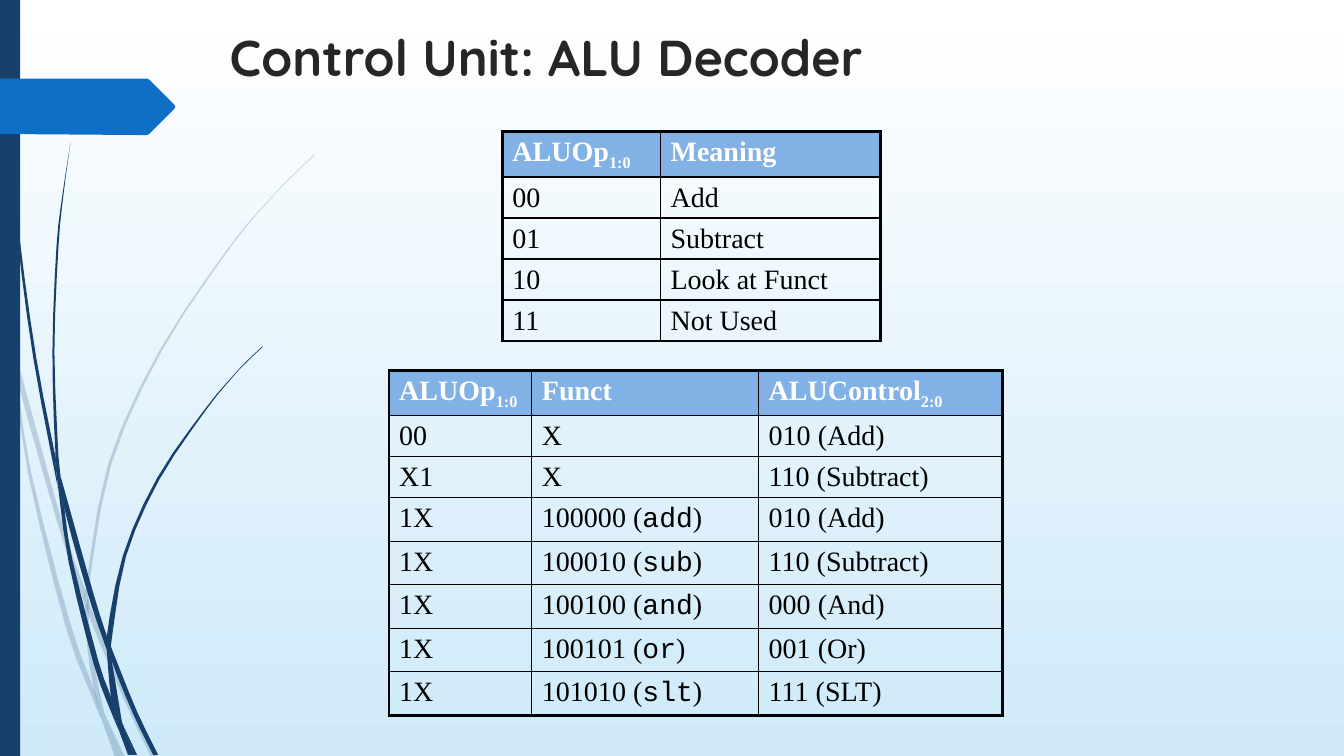
from lxml import etree
from pptx import Presentation
from pptx.dml.color import RGBColor
from pptx.enum import shapes, text
from pptx.oxml import ns
from pptx.util import Pt

NAVY = RGBColor(0x17, 0x40, 0x6D)
BLUE = RGBColor(0x0F, 0x6F, 0xC6)
HEAD = RGBColor(0x82, 0xB1, 0xE5)
DARK = RGBColor(0x26, 0x26, 0x26)
BLACK = RGBColor(0, 0, 0)
WHITE = RGBColor(255, 255, 255)
SKY = RGBColor(0xCE, 0xEA, 0xF9)
SERIF, MONO = "Times New Roman", "Courier New"
UNIT = 0.72

# Each piece of grass is a ring of smooth edges, with knots in UNIT points.
PALE = [
    [[(11, 350), (9, 322), (0, 282)], [(0, 299), (10, 344)]],
    [[(14, 345), (17, 376), (58, 522), (84, 599)],
     [(85, 586), (62, 520), (14, 345)]],
    [[(88, 596), (88, 610), (123, 694), (150, 751)],
     [(155, 751), (127, 692), (92, 607)]],
    [[(105, 711), (119, 751)], [(124, 751), (105, 711)]],
    [[(11, 350), (28, 470), (65, 621), (92, 693), (101, 714)],
     [(99, 707), (93, 683), (70, 619), (31, 469), (17, 376)]],
    [[(84, 599), (87, 646), (93, 683), (96, 692), (105, 711)],
     [(103, 706), (91, 646), (88, 610), (88, 608)]],
    [[(312, 153), (289, 175), (268, 197), (228, 244), (158, 348),
      (107, 461), (85, 584), (85, 586)],
     [(88, 596), (88, 584), (110, 462), (160, 349), (229, 245),
      (268, 198), (290, 175), (312, 154)]],
    [[(101, 714), (114, 751)], [(119, 751), (101, 714)]],
    [[(85, 586), (84, 599), (88, 608)], [(88, 610), (88, 596)]],
    [[(93, 683), (99, 707), (101, 714), (119, 751)],
     [(105, 711), (96, 692)]],
]
DEEP = [
    [[(3, 0), (4, 48), (7, 110), (17, 233), (33, 355), (56, 477), (57, 481)],
     [(55, 457), (55, 453), (36, 355), (19, 232), (8, 109), (5, 48), (4, 0)]],
    [[(60, 472), (64, 505), (88, 592), (106, 645)],
     [(106, 633), (106, 631), (93, 590), (60, 472)]],
    [[(110, 641), (111, 656), (132, 708), (152, 749)],
     [(157, 749), (136, 706), (113, 649)]],
    [[(57, 477), (68, 557), (93, 659), (111, 708), (117, 722)],
     [(116, 717), (110, 691), (98, 657), (72, 556), (64, 505)]],
    [[(70, 141), (62, 193), (56, 245), (52, 349), (55, 449), (60, 472)],
     [(58, 453), (54, 349), (58, 245), (63, 193), (70, 141)]],
    [[(122, 719), (133, 749)], [(136, 749), (122, 719)]],
    [[(55, 449), (55, 453), (57, 477), (64, 505)], [(60, 472), (55, 449)]],
    [[(260, 344), (245, 358), (231, 373), (204, 405), (156, 474),
      (122, 551), (106, 631), (110, 641)],
     [(111, 633), (125, 552), (158, 476), (205, 406), (231, 374),
      (245, 359), (261, 344)]],
    [[(117, 722), (127, 749)], [(131, 749), (117, 722)]],
    [[(106, 645), (110, 691), (116, 706), (122, 719)],
     [(121, 716), (111, 656), (109, 651)]],
    [[(106, 631), (106, 645), (109, 651)], [(111, 656), (110, 641)]],
    [[(110, 691), (116, 717), (117, 722), (130, 749)],
     [(133, 749), (122, 719), (116, 706)]],
]
ARROW = [[(0, 78), (146, 78)], [(148, 79), (173, 104)],
         [(174, 106), (173, 108)], [(148, 133), (146, 134)],
         [(136, 134), (0, 133)]]
OPS = [["ALUOp`1:0`", "Meaning"], ["00", "Add"], ["01", "Subtract"],
       ["10", "Look at Funct"], ["11", "Not Used"]]
CODES = [["ALUOp`1:0`", "Funct", "ALUControl`2:0`"],
         ["00", "X", "010 (Add)"],
         ["X1", "X", "110 (Subtract)"],
         ["1X", "100000 (`add`)", "010 (Add)"],
         ["1X", "100010 (`sub`)", "110 (Subtract)"],
         ["1X", "100100 (`and`)", "000 (And)"],
         ["1X", "100101 (`or`)", "001 (Or)"],
         ["1X", "101010 (`slt`)", "111 (SLT)"]]


def write(para, words, size=20, font=SERIF, color=BLACK, bold=False, base=0):
    """Add a run of formatted text to a paragraph."""
    run = para.add_run()
    run.text = words
    run.font.size, run.font.name, run.font.bold = Pt(size), font, bold
    run.font.color.rgb = color
    if base:
        run._r.get_or_add_rPr().set("baseline", str(base * 1000))


def paint(shape, color, alpha=100):
    """Give a shape a plain fill without line or shadow."""
    shape.shadow.inherit = False
    shape.line.fill.background()
    shape.fill.solid()
    shape.fill.fore_color.rgb = color
    if alpha < 100:
        tint = shape._element.spPr.find(".//" + ns.qn("a:srgbClr"))
        etree.SubElement(tint, ns.qn("a:alpha"), val=str(alpha * 1000))


def smooth(knots, steps=3):
    """Return points on a Catmull-Rom curve through the knots."""
    if len(knots) == 2:
        return knots
    ends = [knots[0], *knots, knots[-1]]
    curve = []
    for a, b, c, d in zip(ends, ends[1:], ends[2:], ends[3:]):
        for i in range(steps):
            t = i / steps
            curve.append([(2 * q + (r - p) * t
                           + (2 * p - 5 * q + 4 * r - s) * t ** 2
                           + (3 * q - p - 3 * r + s) * t ** 3) / 2
                          for p, q, r, s in zip(a, b, c, d)])
    return curve + [knots[-1]]


def outline(slide, edges, color, alpha=100):
    """Draw a filled outline made of smooth edges."""
    ring = [(Pt(x * UNIT), Pt(y * UNIT))
            for edge in edges for x, y in smooth(edge)]
    form = slide.shapes.build_freeform(*ring[0], scale=1.0)
    form.add_line_segments(ring[1:], close=True)
    paint(form.convert_to_shape(), color, alpha)


def border(cell, side, width):
    """Draw one black side of a cell."""
    line = etree.SubElement(cell._tc.get_or_add_tcPr(), ns.qn("a:ln" + side),
                            w=str(Pt(width)))
    fill = etree.SubElement(line, ns.qn("a:solidFill"))
    etree.SubElement(fill, ns.qn("a:srgbClr"), val=str(BLACK))


def grid(slide, left, top, wides, highs, rows):
    """Add a table with a coloured head and a heavy frame."""
    table = slide.shapes.add_table(len(rows), len(wides), Pt(left), Pt(top),
                                   Pt(sum(wides)), Pt(sum(highs))).table
    table.first_row = table.horz_banding = False
    for col, wide in zip(table.columns, wides):
        col.width = Pt(wide)
    for i, row in enumerate(rows):
        table.rows[i].height = Pt(highs[i])
        for j, words in enumerate(row):
            cell = table.cell(i, j)
            cell.margin_bottom = Pt(1)
            outer = {"L": j == 0, "R": j == len(wides) - 1,
                     "T": i == 0, "B": i == len(rows) - 1}
            for side, heavy in outer.items():
                border(cell, side, 2.25 if heavy else 1)
            if i == 0:
                cell.fill.solid()
                cell.fill.fore_color.rgb = HEAD
                plain, mark = {"color": WHITE, "bold": True}, {"base": -25}
            else:
                cell.fill.background()
                plain, mark = {}, {"font": MONO}
            for k, part in enumerate(words.split("`")):
                if part:
                    write(cell.text_frame.paragraphs[0], part,
                          **plain, **(mark if k % 2 else {}))


def title(slide, words):
    """Add the slide title."""
    frame = slide.shapes.add_textbox(Pt(157), Pt(0), Pt(754), Pt(80.6)).text_frame
    frame.word_wrap = True
    frame.vertical_anchor = text.MSO_ANCHOR.MIDDLE
    write(frame.paragraphs[0], words, size=36, font="Quicksand",
          color=DARK, bold=True)


def main():
    """Build and save the slide."""
    deck = Presentation()
    deck.slide_width, deck.slide_height = Pt(960), Pt(540)
    slide = deck.slides.add_slide(deck.slide_layouts[6])
    back = slide.background.fill
    back.gradient()
    back.gradient_angle = 270
    for stop, color in zip(back.gradient_stops, (WHITE, SKY)):
        stop.color.rgb = color
    for edges in PALE:
        outline(slide, edges, NAVY, alpha=20)
    for edges in DEEP:
        outline(slide, edges, NAVY)
    bar = slide.shapes.add_shape(shapes.MSO_SHAPE.RECTANGLE,
                                 Pt(0), Pt(0), Pt(14.4), Pt(540))
    paint(bar, NAVY)
    outline(slide, ARROW, BLUE)
    title(slide, "Control Unit: ALU Decoder")
    grid(slide, 358.8, 93.8, [113, 157], [32.6] + [29.3] * 4, OPS)
    grid(slide, 277.9, 264.4, [102, 162, 174],
         [32.5] + [29.3] * 2 + [31.1] * 5, CODES)
    deck.save("out.pptx")


if __name__ == "__main__":
    main()
